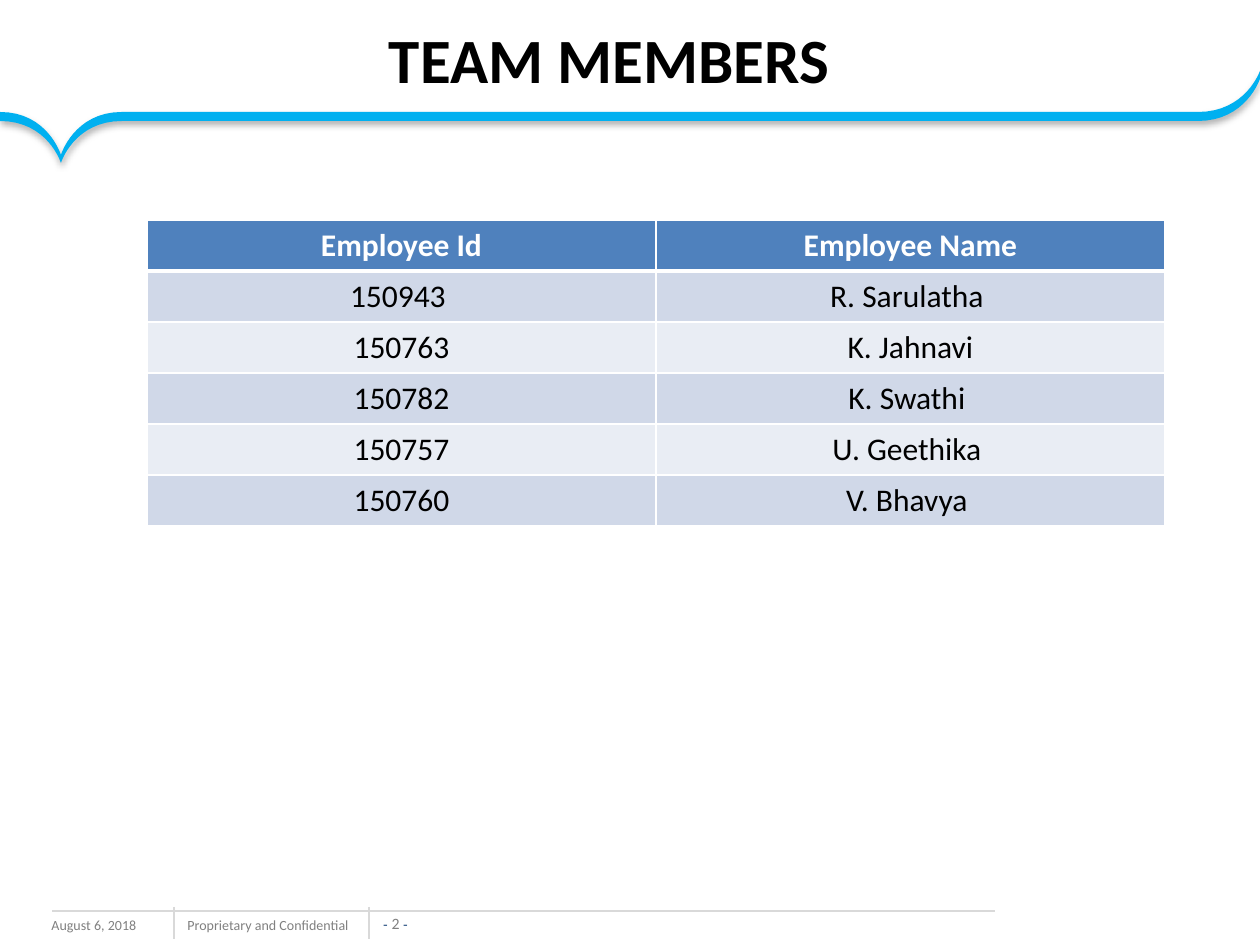
import lxml.etree
import pptx
import pptx.dml.color
import pptx.enum.shapes
import pptx.enum.text
import pptx.oxml
import pptx.oxml.ns
import pptx.util

RGB = pptx.dml.color.RGBColor
Pt = pptx.util.Pt
ALIGN = pptx.enum.text.PP_ALIGN
ANCHOR = pptx.enum.text.MSO_ANCHOR
BLACK, WHITE = RGB(0, 0, 0), RGB(255, 255, 255)
SKY, NAVY = RGB(0x00, 0xB0, 0xF0), RGB(0x1F, 0x49, 0x7D)
GREY, RULE_GREY = RGB(0x80, 0x80, 0x80), RGB(0xD9, 0xD9, 0xD9)
HEADER_BLUE = RGB(0x4F, 0x81, 0xBD)
BANDS = RGB(0xD0, 0xD8, 0xE8), RGB(0xE9, 0xED, 0xF4)

TITLE = "TEAM MEMBERS"
MEMBERS = [
    ("Employee Id", "Employee Name"),
    ("150943 ", "R. Sarulatha "),
    ("150763", "K. Jahnavi"),
    ("150782", "K. Swathi "),
    ("150757", "U. Geethika "),
    ("150760", "V. Bhavya "),
]
FOOTER_TEXTS = [("August 6, 2018", (39, 910, 168, 31), True),
                ("Proprietary and Confidential", (175, 910, 198, 30), False)]
PAGE_NUMBER = [("- ", 8, "Arial", NAVY), ("2 ", 9, "Calibri", GREY), ("-", 8, "Arial", NAVY)]
FOOTER_RULES = [(174, 907, 174, 939), (369, 907, 369, 939), (995, 911, 52, 911)]

# Ribbon outline: each step is a line end (x, y) or a curve (control, control, end)
RIBBON_START = (1198, 112)
RIBBON = [
    (122, 112),
    ((74, 112), (61, 155), (61, 155)),
    ((61, 155), (48, 112), (0, 112)),
    (0, 121),
    ((48, 121), (61, 163), (61, 163)),
    ((61, 163), (74, 121), (122, 121)),
    (1198, 121),
    ((1246, 121), (1260, 79), (1260, 79)),
    (1260, 71),
    ((1260, 71), (1246, 112), (1198, 112)),
]
CURVE_STEPS = 16
TABLE_LEFT, TABLE_TOP, COLUMN_WIDTH, ROW_HEIGHT = 147, 220, 509, 51
EMU_PER_PX = 914400 / 126


def px(*lengths):
    return [round(length * EMU_PER_PX) for length in lengths]


def curve_points(start, control_1, control_2, end):
    for step in range(1, CURVE_STEPS + 1):
        t = step / CURVE_STEPS
        weights = (1 - t) ** 3, 3 * t * (1 - t) ** 2, 3 * t * t * (1 - t), t ** 3
        corners = start, control_1, control_2, end
        yield tuple(sum(w * c[axis] for w, c in zip(weights, corners)) for axis in (0, 1))


def set_effects(shape, effects=""):
    properties = shape._element.spPr
    for old in properties.findall(pptx.oxml.ns.qn("a:effectLst")):
        properties.remove(old)
    properties.append(pptx.oxml.parse_xml(
        f'<a:effectLst {pptx.oxml.ns.nsdecls("a")}>{effects}</a:effectLst>'))


def add_ribbon(slide):
    points = [RIBBON_START]
    for step in RIBBON:
        if isinstance(step[0], tuple):
            points.extend(curve_points(points[-1], *step))
        else:
            points.append(step)
    builder = slide.shapes.build_freeform(*px(*points[0]))
    builder.add_line_segments([px(*point) for point in points[1:]], close=True)
    ribbon = builder.convert_to_shape()
    ribbon.fill.solid()
    ribbon.fill.fore_color.rgb = SKY
    ribbon.line.fill.background()
    set_effects(ribbon, f'<a:outerShdw blurRad="{Pt(4)}" dist="{Pt(2)}" dir="5400000" '
                        'rotWithShape="0"><a:srgbClr val="000000"><a:alpha val="31000"/>'
                        '</a:srgbClr></a:outerShdw>')


def style(font, size, color, bold=False, name="Calibri"):
    font.size, font.bold, font.name = Pt(size), bold, name
    font.color.rgb = color


def add_footer(slide):
    for text, box, wrap in FOOTER_TEXTS:
        frame = slide.shapes.add_textbox(*px(*box)).text_frame
        frame.word_wrap = wrap
        frame.text = text
        style(frame.paragraphs[0].font, 8, GREY)

    frame = slide.shapes.add_textbox(*px(379, 914, 33, 19)).text_frame
    frame.word_wrap = False
    frame.vertical_anchor = ANCHOR.BOTTOM
    frame.margin_left = frame.margin_right = frame.margin_top = frame.margin_bottom = 0
    frame.paragraphs[0].alignment = ALIGN.CENTER
    for text, size, name, color in PAGE_NUMBER:
        run = frame.paragraphs[0].add_run()
        run.text = text
        style(run.font, size, color, name=name)

    for ends in FOOTER_RULES:
        rule = slide.shapes.add_connector(pptx.enum.shapes.MSO_CONNECTOR.STRAIGHT, *px(*ends))
        rule.line.color.rgb = RULE_GREY
        rule.line.width = Pt(0.75)
        set_effects(rule)


def add_title(slide):
    title = slide.shapes.title
    title.left, title.top, title.width, title.height = px(42, 3, 1134, 110)
    title.text_frame.text = TITLE
    title.text_frame.vertical_anchor = ANCHOR.MIDDLE
    title.text_frame.paragraphs[0].alignment = ALIGN.CENTER
    style(title.text_frame.paragraphs[0].font, 36, BLACK, bold=True)


def set_borders(cell, **widths):
    """Draw white borders; widths are points keyed by side: L, R, T, B."""
    properties = cell._tc.get_or_add_tcPr()
    for position, (side, width) in enumerate(widths.items()):
        properties.insert(position, pptx.oxml.parse_xml(
            f'<a:ln{side} {pptx.oxml.ns.nsdecls("a")} w="{Pt(width)}"><a:solidFill>'
            f'<a:srgbClr val="{WHITE}"/></a:solidFill></a:ln{side}>'))


def add_members(slide):
    rows, columns = len(MEMBERS), len(MEMBERS[0])
    table = slide.shapes.add_table(rows, columns, *px(
        TABLE_LEFT, TABLE_TOP, columns * COLUMN_WIDTH, rows * ROW_HEIGHT)).table
    for row, member in enumerate(MEMBERS):
        is_header = row == 0
        for column, text in enumerate(member):
            cell = table.cell(row, column)
            cell.text = text
            cell.fill.solid()
            cell.fill.fore_color.rgb = HEADER_BLUE if is_header else BANDS[(row - 1) % 2]
            paragraph = cell.text_frame.paragraphs[0]
            paragraph.alignment = ALIGN.CENTER
            style(paragraph.font, 18, WHITE if is_header else BLACK, bold=is_header)
            set_borders(cell, L=1, R=1, T=3 if row == 1 else 1, B=3 if is_header else 1)


def main():
    deck = pptx.Presentation()
    deck.slide_width, deck.slide_height = px(1260, 945)
    slide = deck.slides.add_slide(deck.slide_layouts.get_by_name("Title Only"))
    add_footer(slide)
    add_ribbon(slide)
    add_title(slide)
    add_members(slide)
    deck.save("out.pptx")


if __name__ == "__main__":
    main()
